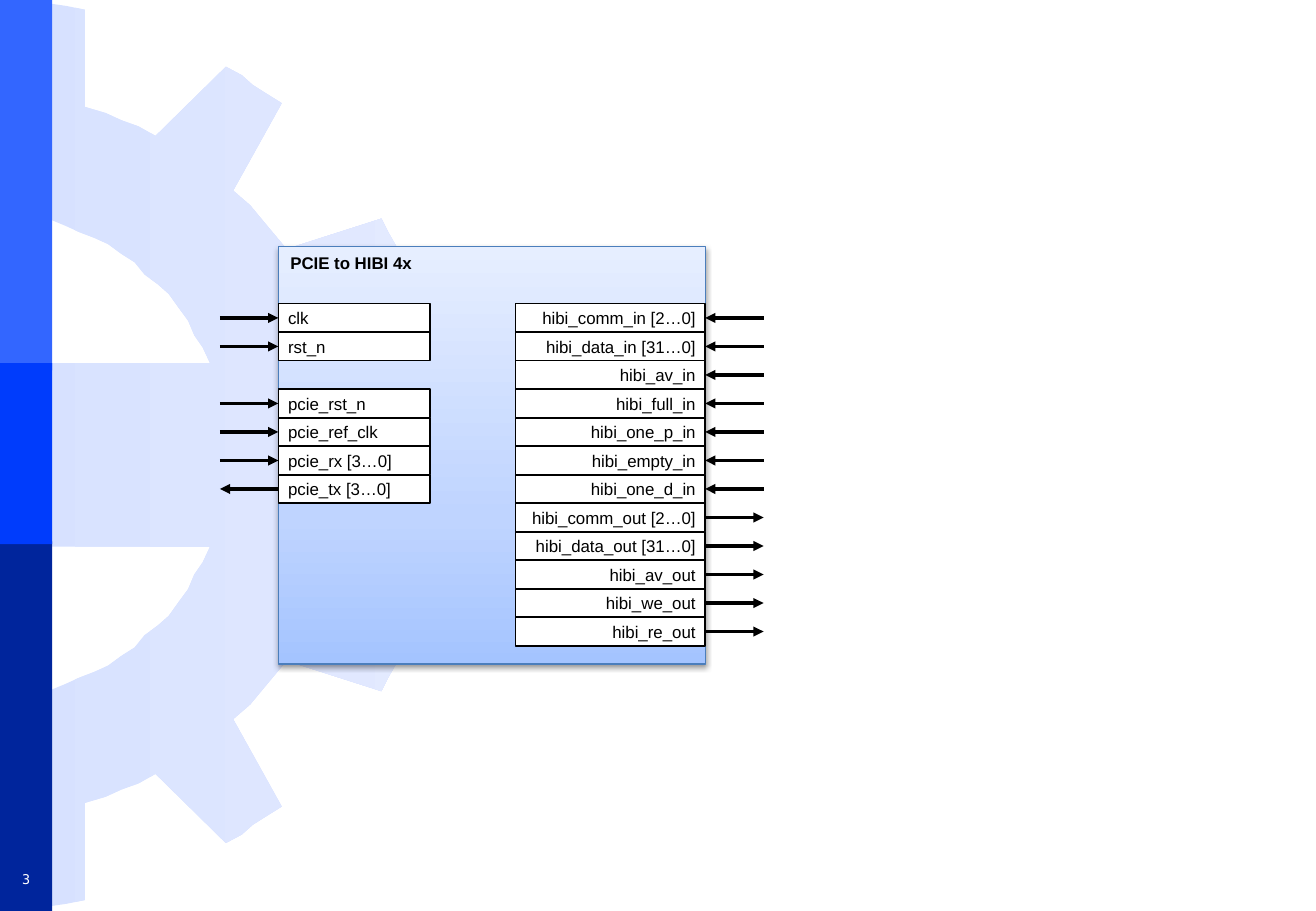
from lxml import etree
from pptx import Presentation
from pptx.dml.color import RGBColor
from pptx.enum.shapes import MSO_CONNECTOR, MSO_SHAPE
from pptx.enum.text import MSO_ANCHOR, PP_ALIGN
from pptx.oxml.ns import qn
from pptx.util import Pt

RECT, STRAIGHT = MSO_SHAPE.RECTANGLE, MSO_CONNECTOR.STRAIGHT
TOP, MIDDLE = MSO_ANCHOR.TOP, MSO_ANCHOR.MIDDLE
LEFT, CENTER, RIGHT = PP_ALIGN.LEFT, PP_ALIGN.CENTER, PP_ALIGN.RIGHT
LEFT_SIDE, RIGHT_SIDE = 1, 3

SLIDE_W, SLIDE_H = 780, 540
ROW_H, ARROW_LEN = 16.9, 34.6

# Upper half of the gear, from the right tip round to the inner hub
GEAR_H = 539.3
GEAR_HALF = [
    (266.4, 258.5), (264.2, 249.8), (205.9, 240.5), (203.8, 230.4),
    (202.3, 219.6), (198, 209.5), (196.6, 196.6), (243.4, 163.4),
    (239.8, 154.1), (235.4, 146.9), (230.4, 138.2), (226.1, 129.6),
    (169.9, 147.6), (162, 138.2), (154.8, 129.6), (148.3, 121.7),
    (138.2, 113), (167, 61.2), (157.7, 55.4), (149.8, 50.4),
    (143.3, 44.6), (133.9, 39.6), (92.2, 80.6), (82.1, 74.9),
    (72, 71.3), (62.6, 67), (50.4, 63.4), (50.4, 5.8), (39.6, 3.6),
    (30.2, 2.2), (20.9, 0.7), (10.1, 0), (10.1, 126.7), (20.2, 129.6),
    (30.2, 130.3), (38.9, 133.9), (46.8, 137.5), (56.2, 141.1),
    (64.1, 144.7), (72, 150.5), (79.9, 155.5), (85.7, 162.7),
    (93.6, 168.5), (100.1, 174.2), (105.8, 182.2), (111.6, 190.1),
    (115.2, 198.7), (120.2, 205.9), (124.6, 215.3), (0, 215.3),
]

# Port name, row, whether the signal enters the block
LEFT_PORTS = [
    ("clk", 0, True), ("rst_n", 1, True),
    ("pcie_rst_n", 3, True), ("pcie_ref_clk", 4, True),
    ("pcie_rx [3…0]", 5, True), ("pcie_tx [3…0]", 6, False),
]
RIGHT_NAMES = [
    "hibi_comm_in [2…0]", "hibi_data_in [31…0]", "hibi_av_in",
    "hibi_full_in", "hibi_one_p_in", "hibi_empty_in", "hibi_one_d_in",
    "hibi_comm_out [2…0]", "hibi_data_out [31…0]", "hibi_av_out",
    "hibi_we_out", "hibi_re_out",
]
RIGHT_PORTS = [(name, row, "_in" in name)
               for row, name in enumerate(RIGHT_NAMES)]


def color(hex_str):
    return RGBColor.from_string(hex_str)


def set_gradient(sp, stops, angle):
    sp.fill.gradient()
    sp.fill.gradient_angle = angle
    gs_lst = sp._element.spPr.find(qn("a:gradFill")).find(qn("a:gsLst"))
    for gs in list(gs_lst):
        gs_lst.remove(gs)
    for pos, hex_str in stops:
        gs = etree.SubElement(gs_lst, qn("a:gs"), pos=str(pos * 1000))
        etree.SubElement(gs, qn("a:srgbClr"), val=hex_str)


def add_rect(s, x, y, w, h, fill=None, line=None, weight=1):
    sp = s.shapes.add_shape(RECT, Pt(x), Pt(y), Pt(w), Pt(h))
    sp.shadow.inherit = False
    if fill:
        sp.fill.solid()
        sp.fill.fore_color.rgb = color(fill)
    if line:
        sp.line.color.rgb = color(line)
        sp.line.width = Pt(weight)
    else:
        sp.line.fill.background()
    return sp


def set_text(sp, text, size=10, font="Arial", fill="000000", bold=False,
             align=LEFT, anchor=MIDDLE, inset=(5.76, 0), wrap=True):
    tf = sp.text_frame
    dx, dy = (Pt(v) for v in inset)
    frame_format = {"margin_left": dx, "margin_right": dx, "margin_top": dy,
                    "margin_bottom": dy, "vertical_anchor": anchor,
                    "word_wrap": wrap}
    for name, value in frame_format.items():
        setattr(tf, name, value)
    p = tf.paragraphs[0]
    p.alignment = align
    r = p.add_run()
    r.text = text
    for name, value in {"name": font, "size": Pt(size), "bold": bold}.items():
        setattr(r.font, name, value)
    r.font.color.rgb = color(fill)


def add_background(s, x, y, h):
    # Gear, mirrored about its horizontal axis
    outline = GEAR_HALF + [(px, GEAR_H - py) for px, py in GEAR_HALF[::-1]]
    points = [(Pt(x + px), Pt(y + py)) for px, py in outline]
    builder = s.shapes.build_freeform(*points[0], scale=1.0)
    builder.add_line_segments(points[1:], close=True)
    gear = builder.convert_to_shape()
    gear.shadow.inherit = False
    gear.line.fill.background()
    set_gradient(gear, [(0, "D7E1FF"), (100, "E3EAFF")], 0)

    # Side bands
    band_w = 31
    for top, bottom, fill in [(0, 219.6, "3366FF"), (321, h, "00259C"),
                              (215.3, 322.6, "003CFC")]:
        add_rect(s, x, y + top, band_w, bottom - top, fill)

    # Slide number
    number = s.shapes.add_textbox(Pt(x), Pt(y + h - 28), Pt(band_w), Pt(18.7))
    set_text(number, "3", size=8, font="DejaVu Sans Mono", fill="FFFFFF",
             align=CENTER, inset=(7.2, 3.6), wrap=False)


def add_arrow(s, port, x, y, side, incoming):
    far_x = x - ARROW_LEN if side == LEFT_SIDE else x + ARROW_LEN
    start, end = (far_x, x) if incoming else (x, far_x)
    c = s.shapes.add_connector(STRAIGHT, Pt(start), Pt(y), Pt(end), Pt(y))
    connect = c.end_connect if incoming else c.begin_connect
    connect(port, side)
    c.line.color.rgb = color("000000")
    c.line.width = Pt(2)
    etree.SubElement(c.line._get_or_add_ln(), qn("a:tailEnd"), type="triangle")
    etree.SubElement(c._element.spPr, qn("a:effectLst"))


def add_ports(s, x, y, w, ports, side):
    edge = x if side == LEFT_SIDE else x + w
    align = LEFT if side == LEFT_SIDE else RIGHT
    for name, row, incoming in ports:
        top = y + row * ROW_H
        port = add_rect(s, x, top, w, ROW_H, "FFFFFF", "000000")
        set_text(port, name, align=align)
        add_arrow(s, port, edge, top + ROW_H / 2, side, incoming)


def add_block(s, x, y, w, h):
    # Body with gradient and soft shadow
    body = add_rect(s, x, y, w, h, line="4B7EBC", weight=0.75)
    set_gradient(body, [(0, "A4C4FF"), (35, "BFD4FF"), (100, "E6EEFF")], 90)
    effects = body._element.spPr.find(qn("a:effectLst"))
    shadow = etree.SubElement(effects, qn("a:outerShdw"), blurRad=str(Pt(3.1)),
                              dist=str(Pt(1.6)), dir="5400000", rotWithShape="0")
    clr = etree.SubElement(shadow, qn("a:srgbClr"), val="000000")
    etree.SubElement(clr, qn("a:alpha"), val="38000")
    set_text(body, "PCIE to HIBI 4x", bold=True, anchor=TOP, inset=(7.2, 3.6))

    # Ports on both sides
    left_w, right_w, rows_top = 90, 112.5, y + 34
    add_ports(s, x, rows_top, left_w, LEFT_PORTS, LEFT_SIDE)
    add_ports(s, x + w - right_w, rows_top, right_w, RIGHT_PORTS, RIGHT_SIDE)


def main():
    prs = Presentation()
    prs.slide_width, prs.slide_height = Pt(SLIDE_W), Pt(SLIDE_H)
    s = prs.slides.add_slide(prs.slide_layouts[6])
    add_background(s, 0, 0, SLIDE_H)
    add_block(s, 165, 146, 253, 247.7)
    prs.save("out.pptx")


if __name__ == "__main__":
    main()
